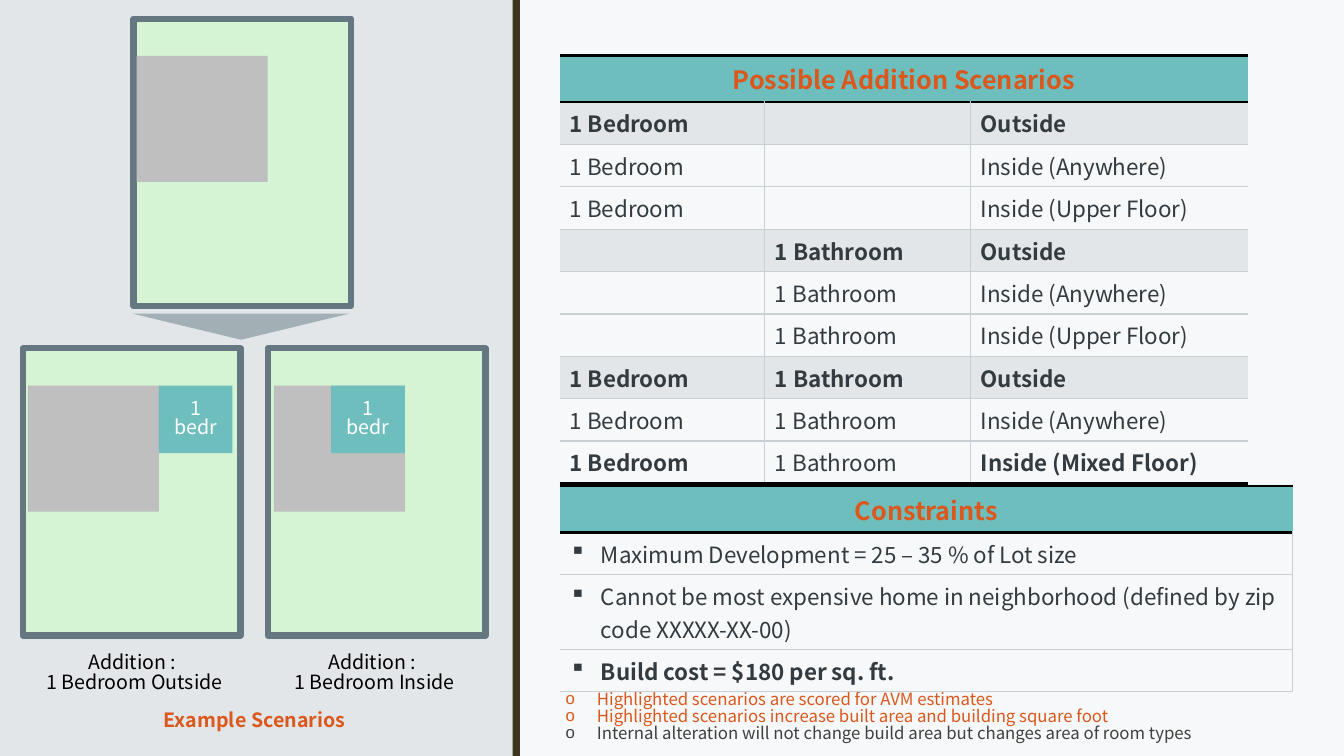
from lxml import etree
from pptx import Presentation
from pptx import util as u
from pptx.dml.color import RGBColor
from pptx.enum import shapes, text
from pptx.oxml import ns

FONT = "Noto Sans CJK JP"
MIST = RGBColor(0xE2, 0xE6, 0xE8)
WHITE = RGBColor(0xFF, 0xFF, 0xFF)
BLACK = RGBColor(0, 0, 0)
BARK = RGBColor(0x3C, 0x35, 0x22)
LAWN = RGBColor(0xD4, 0xF4, 0xD3)
SLATE = RGBColor(0x65, 0x77, 0x80)
GRAY = RGBColor(0xBF, 0xBF, 0xBF)
TEAL = RGBColor(0x6F, 0xBE, 0xBE)
STEEL = RGBColor(0xA2, 0xAF, 0xB5)
ORANGE = RGBColor(0xDB, 0x57, 0x1B)
INK = RGBColor(0x33, 0x3B, 0x40)
NOTE = RGBColor(0x40, 0x40, 0x40)
RULE = RGBColor(0xC8, 0xD0, 0xD4)

deck = Presentation()
deck.slide_width, deck.slide_height = u.Inches(13.33), u.Inches(7.5)
page = deck.slides.add_slide(deck.slide_layouts[1])
page.background.fill.solid()
page.background.fill.fore_color.rgb = MIST

# Boxes are left, top, width, height in percent of the slide
GRID = (deck.slide_width / 100, deck.slide_height / 100) * 2


def write(para, words, size, color, bold=False, centred=False, bullet=None, spacing=0.83):
    if bullet:
        props = para._p.get_or_add_pPr()
        props.set("marL", str(u.Inches(0.31)))
        props.set("indent", str(-u.Inches(0.31)))
        etree.SubElement(props, ns.qn("a:buChar")).set("char", bullet)
    para.alignment = text.PP_ALIGN.CENTER if centred else text.PP_ALIGN.LEFT
    para.line_spacing = spacing
    para.space_before = u.Pt(0)
    span = para.add_run()
    span.text = words
    span.font.name, span.font.size = FONT, u.Pt(size)
    span.font.bold, span.font.color.rgb = bold, color


def dress_cell(cell, fill, edges):
    if fill is None:
        cell.fill.background()
    else:
        cell.fill.solid()
        cell.fill.fore_color.rgb = fill
    props = cell._tc.get_or_add_tcPr()
    for place, side in enumerate("LRTB"):
        line = etree.Element(ns.qn("a:ln" + side))
        if side in edges:
            color, points = edges[side]
            line.set("w", str(u.Pt(points)))
            solid = etree.SubElement(line, ns.qn("a:solidFill"))
            etree.SubElement(solid, ns.qn("a:srgbClr")).set("val", str(color))
        else:
            etree.SubElement(line, ns.qn("a:noFill"))
        props.insert(place, line)


# Backdrop, lots, houses and added rooms
RECT = shapes.MSO_SHAPE.RECTANGLE
LOT_W, LOT_H, HOUSE_W, HOUSE_H, ROOM_W, ROOM_H = 16.2, 38, 9.75, 16.67, 5.48, 8.93
blocks = [
    (RECT, (38.71, 0, 61.29, 100), WHITE, ""),
    (RECT, (38.15, 0, 0.53, 100), BARK, ""),
    (shapes.MSO_SHAPE.ISOSCELES_TRIANGLE, (9.83, 41.47, LOT_W, 3.47), STEEL, ""),
]
# Lot left and top, gap to the house, room's start measured from the house
for left, top, gap, room in [(9.94, 2.47, 0.23, None), (1.69, 46.07, 0.38, HOUSE_W),
                             (19.92, 46.07, 0.45, HOUSE_W - ROOM_W)]:
    house, roof = left + gap, top + 4.93
    blocks.append((RECT, (left, top, LOT_W, LOT_H), LAWN, ""))
    blocks.append((RECT, (house, roof, HOUSE_W, HOUSE_H), GRAY, ""))
    if room is not None:
        blocks.append((RECT, (house + room, roof, ROOM_W, ROOM_H), TEAL, "1 bedr"))

for kind, box, fill, words in blocks:
    block = page.shapes.add_shape(kind, *[int(a * b) for a, b in zip(box, GRID)])
    block.shadow.inherit = False
    block.fill.solid()
    block.fill.fore_color.rgb = fill
    block.line.fill.background()
    if fill == LAWN:
        block.line.color.rgb, block.line.width = SLATE, u.Pt(4.5)
    if fill == STEEL:
        block.rotation = 180
    if fill == WHITE:
        color = block._element.spPr.find(".//" + ns.qn("a:srgbClr"))
        etree.SubElement(color, ns.qn("a:alpha")).set("val", "75000")
        page.shapes._spTree.insert(2, block._element)  # behind the placeholders
    if words:
        block.text_frame.vertical_anchor = text.MSO_ANCHOR.MIDDLE
        write(block.text_frame.paragraphs[0], words, 14, WHITE, centred=True)

# Scenario rows: three room choices, each in three places
scenarios = []
for rooms in [("1 Bedroom", ""), ("", "1 Bathroom"), ("1 Bedroom", "1 Bathroom")]:
    last = "Inside (Mixed Floor)" if all(rooms) else "Inside (Upper Floor)"
    for place in ("Outside", "Inside (Anywhere)", last):
        scenarios.append((*rooms, place))
constraints = [
    ("Maximum Development = 25 – 35 % of Lot size",),
    ("Cannot be most expensive home in neighborhood (defined by zip code XXXXX-XX-00)",),
    ("Build cost = $180 per sq. ft.",),
]

# Tables
THICK, THIN = (BLACK, 2), (RULE, 1)
for heading, top, height, shares, rows in [
    ("Possible Addition Scenarios", 7.33, 54.13, (28, 29.65, 42.35), scenarios),
    ("Constraints", 64.27, 24.67, (100,), constraints),
]:
    box = (41.64, top, 54.54, height)
    frame = page.shapes.add_table(len(rows) + 1, len(shares),
                                  *[int(a * b) for a, b in zip(box, GRID)])
    table = frame.table
    table.first_row = table.horz_banding = False
    single = len(shares) == 1
    for column, share in zip(table.columns, shares):
        column.width = int(frame.width * share / 100)
    for row in table.rows:
        row.height = u.Inches(0.41)
    for cell in table.rows[0].cells:
        dress_cell(cell, TEAL, {"T": THICK, "B": THICK})
    title = table.cell(0, 0)
    if not single:
        title.merge(table.cell(0, len(shares) - 1))
    title.vertical_anchor = text.MSO_ANCHOR.MIDDLE
    write(title.text_frame.paragraphs[0], heading, 18, ORANGE, True, True, spacing=1)
    for r, row in enumerate(rows, 1):
        for c, words in enumerate(row):
            edges = {"T": THICK if r == 1 else THIN, "B": THIN}
            if c > 0:
                edges["L"] = THIN
            if single or c < len(shares) - 1:
                edges["R"] = THIN
            if not single and r == len(rows):
                edges["B"] = THICK
            outside = row[-1] == "Outside"
            bold = outside or (r == len(rows) and c != 1)
            cell = table.cell(r, c)
            dress_cell(cell, MIST if outside else None, edges)
            if words:
                write(cell.text_frame.paragraphs[0], words, 16, INK, bold,
                      bullet="▪" if single else None, spacing=1)

# Captions, slide title and notes list
captions = [
    (page.shapes.add_textbox(0, 0, 0, 0), (2.1, 85.87, 15.83, 7.6),
     [("Addition : ", 14, BLACK, False, True), ("1 Bedroom Outside", 14, BLACK, False, True)]),
    (page.shapes.add_textbox(0, 0, 0, 0), (19.95, 85.87, 15.83, 7.6),
     [("Addition : ", 14, BLACK, False, True), ("1 Bedroom Inside", 14, BLACK, False, True)]),
    (page.shapes.title, (2.1, 93.47, 33.68, 4.53),
     [("Example Scenarios", 14, ORANGE, True, True)]),
    (page.placeholders[1], (41.34, 90.93, 54.76, 9.47), [
        ("Highlighted scenarios are scored for AVM estimates", 12, ORANGE, False, False, "o"),
        ("Highlighted scenarios increase built area and building square foot",
         12, ORANGE, False, False, "o"),
        ("Internal alteration will not change build area but changes area of room types",
         12, NOTE, False, False, "o")]),
]
for caption, box, lines in captions:
    caption.left, caption.top, caption.width, caption.height = [
        int(a * b) for a, b in zip(box, GRID)]
    body = caption.text_frame
    body.word_wrap = True
    body.auto_size = text.MSO_AUTO_SIZE.NONE
    body.vertical_anchor = text.MSO_ANCHOR.TOP
    for i, line in enumerate(lines):
        write(body.add_paragraph() if i else body.paragraphs[0], *line)

deck.save("out.pptx")
